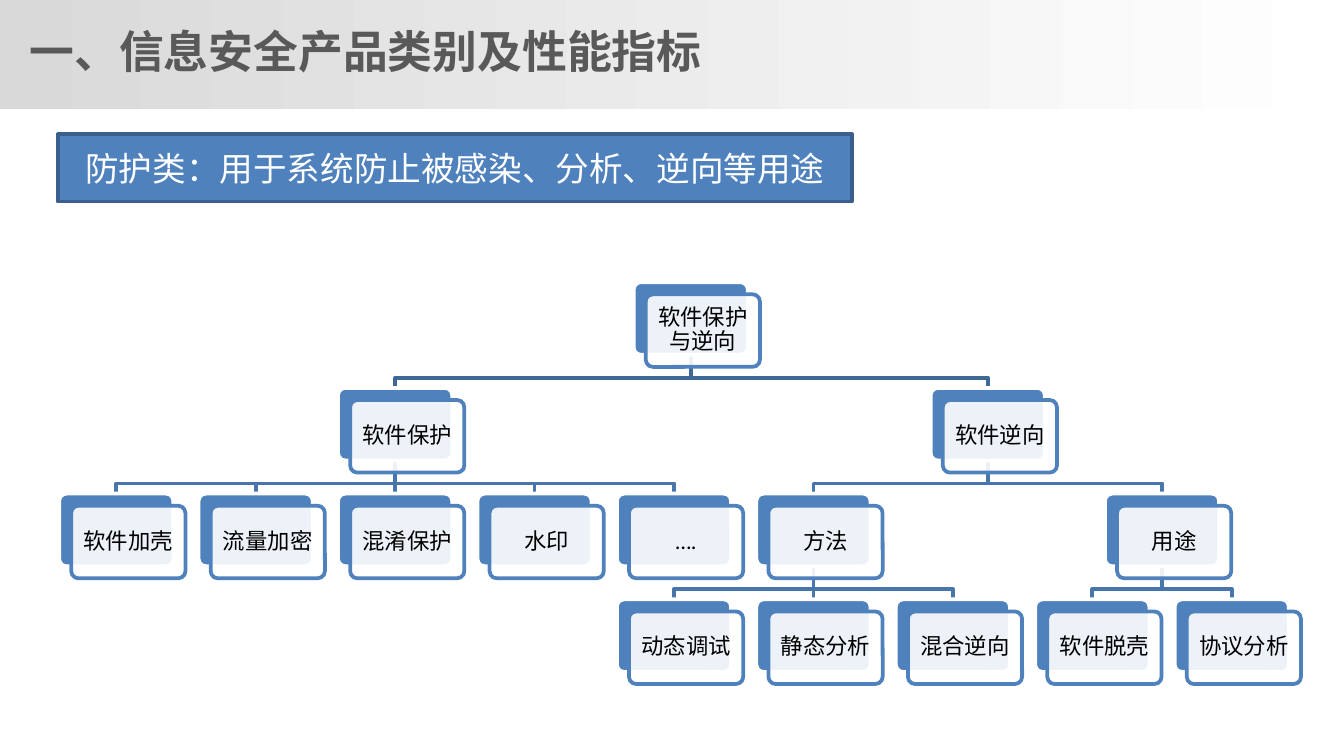
from lxml import etree
from pptx import Presentation
from pptx.dml.color import RGBColor
from pptx.enum.shapes import MSO_CONNECTOR, MSO_SHAPE
from pptx.enum.text import MSO_ANCHOR, MSO_AUTO_SIZE, PP_ALIGN
from pptx.oxml.ns import qn
from pptx.util import Inches, Pt

RECTANGLE, ROUNDED = MSO_SHAPE.RECTANGLE, MSO_SHAPE.ROUNDED_RECTANGLE
STRAIGHT = MSO_CONNECTOR.STRAIGHT
LEFT, CENTER, MIDDLE = PP_ALIGN.LEFT, PP_ALIGN.CENTER, MSO_ANCHOR.MIDDLE
NO_AUTOFIT = MSO_AUTO_SIZE.NONE
TITLE_ONLY = 5
BOTTOM_SIDE, TOP_SIDE = 2, 0
CJK_FONT = "Noto Sans CJK SC"
COLORS = {
    "band": "D9D9D9", "white": "FFFFFF", "black": "000000", "title": "595959",
    "blue": "4F81BD", "banner_line": "3A5F8C",
    "upper_line": "3F6797", "lower_line": "4875AC",
}
rgb = {name: RGBColor.from_string(value) for name, value in COLORS.items()}

SLIDE_WIDTH = 10
SLIDE_HEIGHT = SLIDE_WIDTH * 9 / 16
LEFT_EDGE, TOP_EDGE = 0.44, 2.1
COLUMN_STEP = (8.74 - LEFT_EDGE) / 8
ROW_STEP = (4.46 - TOP_EDGE) / 3
CARD_WIDTH, CARD_HEIGHT, CARD_OFFSET = 0.85, 0.54, 0.09
BEND = 0.17

NODES = {
    "软件保护与逆向": (4.12, 0, None),
    "软件保护": (2, 1, "软件保护与逆向"),
    "软件加壳": (0, 2, "软件保护"),
    "流量加密": (1, 2, "软件保护"),
    "混淆保护": (2, 2, "软件保护"),
    "水印": (3, 2, "软件保护"),
    "….": (4, 2, "软件保护"),
    "软件逆向": (6.25, 1, "软件保护与逆向"),
    "方法": (5, 2, "软件逆向"),
    "动态调试": (4, 3, "方法"),
    "静态分析": (5, 3, "方法"),
    "混合逆向": (6, 3, "方法"),
    "用途": (7.5, 2, "软件逆向"),
    "软件脱壳": (7, 3, "用途"),
    "协议分析": (8, 3, "用途"),
}


def write_text(box, text, align, font_values):
    frame = box.text_frame
    frame.word_wrap = True
    frame.vertical_anchor = MIDDLE
    para = frame.paragraphs[0]
    para.alignment = align
    span = para.add_run()
    span.text = text
    span.font.color.rgb = rgb[font_values["color"]]
    for name in ("name", "size", "bold"):
        setattr(span.font, name, font_values[name])
    east_asian = etree.SubElement(span.font._element, qn("a:ea"))
    east_asian.set("typeface", CJK_FONT)
    return para


def add_box(kind, left, top, width, height, fill, line):
    box = page.shapes.add_shape(
        kind, Inches(left), Inches(top), Inches(width), Inches(height))
    box.shadow.inherit = False
    box.fill.solid()
    box.fill.fore_color.rgb = rgb[fill]
    box.line.color.rgb = rgb[line]
    box.line.width = Pt(2)
    return box


deck = Presentation()
deck.slide_width, deck.slide_height = Inches(SLIDE_WIDTH), Inches(SLIDE_HEIGHT)
page = deck.slides.add_slide(deck.slide_layouts[TITLE_ONLY])

title = page.shapes.title
place = {"left": 0.12, "top": 0.13, "width": 8.63, "height": 0.5}
for name, value in place.items():
    setattr(title, name, Inches(value))
write_text(title, "一、信息安全产品类别及性能指标", LEFT,
           {"name": CJK_FONT, "size": Pt(24), "bold": True, "color": "title"})
title.text_frame.auto_size = NO_AUTOFIT

header = add_box(RECTANGLE, 0, 0, SLIDE_WIDTH, 0.81, "band", "band")
header.line.fill.background()
header.fill.gradient()
header.fill.gradient_angle = 0
for stop, color, position in zip(header.fill.gradient_stops, ("band", "white"), (0, 1)):
    stop.color.rgb = rgb[color]
    stop.position = position
title.element.addprevious(header.element)

banner = add_box(RECTANGLE, 0.43, 1, 5.91, 0.5, "blue", "banner_line")
write_text(banner, "防护类：用于系统防止被感染、分析、逆向等用途", CENTER,
           {"name": "Calibri", "size": Pt(18), "bold": False, "color": "white"})

corners = {label: (LEFT_EDGE + column * COLUMN_STEP, TOP_EDGE + row * ROW_STEP)
           for label, (column, row, parent) in NODES.items()}

straight_links = []
for label, (column, row, parent) in NODES.items():
    if parent is None:
        continue
    start_x, end_x = (corners[name][0] + CARD_WIDTH / 2 for name in (parent, label))
    start_y, end_y = corners[parent][1] + CARD_HEIGHT, corners[label][1]
    if column == NODES[parent][0]:
        link = page.shapes.add_connector(
            STRAIGHT, Inches(start_x), Inches(start_y), Inches(end_x), Inches(end_y))
        etree.SubElement(link._element.spPr, qn("a:effectLst"))
        straight_links.append((link, parent, label))
    else:
        outline = page.shapes.build_freeform(Inches(start_x), Inches(start_y))
        bend_y = start_y + BEND
        points = [(start_x, bend_y), (end_x, bend_y), (end_x, end_y)]
        outline.add_line_segments(
            [(Inches(x), Inches(y)) for x, y in points], close=False)
        link = outline.convert_to_shape()
        link.shadow.inherit = False
        link.fill.background()
    link.line.color.rgb = rgb["upper_line" if row == 1 else "lower_line"]
    link.line.width = Pt(2)

backs = {}
for label, (left, top) in corners.items():
    back = add_box(ROUNDED, left, top, CARD_WIDTH, CARD_HEIGHT, "blue", "white")
    card = add_box(ROUNDED, left + CARD_OFFSET, top + CARD_OFFSET,
                   CARD_WIDTH, CARD_HEIGHT, "white", "blue")
    for box in (back, card):
        box.adjustments[0] = 0.1
    tint = card._element.spPr.find(qn("a:solidFill"))[0]
    etree.SubElement(tint, qn("a:alpha")).set("val", "90000")
    for side in ("left", "top", "right", "bottom"):
        setattr(card.text_frame, f"margin_{side}", Inches(0.05))
    para = write_text(card, label, CENTER, {
        "name": "Calibri", "size": Pt(12), "bold": False, "color": "black"})
    para.line_spacing = 0.9
    backs[label] = back

for link, parent, label in straight_links:
    link.begin_connect(backs[parent], BOTTOM_SIDE)
    link.end_connect(backs[label], TOP_SIDE)

deck.save("out.pptx")
